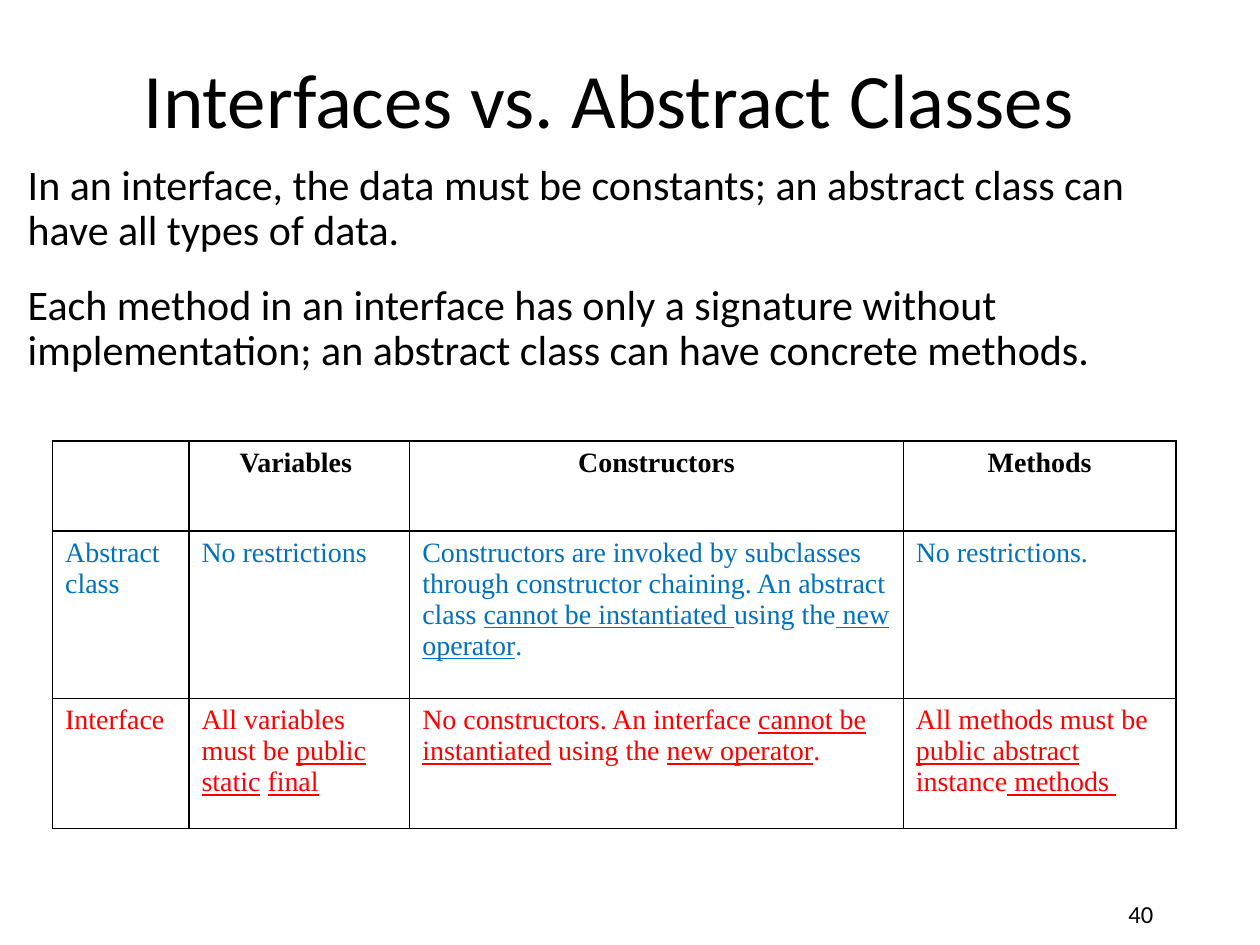
"""Build the slide that compares interfaces with abstract classes."""
from dataclasses import dataclass

from lxml import etree
from pptx import Presentation
from pptx.dml.color import RGBColor
from pptx.enum.text import MSO_ANCHOR, PP_ALIGN
from pptx.oxml.ns import qn
from pptx.util import Cm, Pt

LEFT, CENTER, RIGHT = PP_ALIGN.LEFT, PP_ALIGN.CENTER, PP_ALIGN.RIGHT
TOP, MIDDLE = MSO_ANCHOR.TOP, MSO_ANCHOR.MIDDLE


@dataclass(frozen=True)
class Theme:
    """Hold the fonts, colours and sizes of the slide."""

    text_font: str = "Calibri"
    table_font: str = "Times New Roman"
    black: str = "000000"
    blue: str = "0070C0"
    red: str = "FF0000"
    title: int = 44
    body: int = 24
    cell: int = 16
    number: int = 14
    border: int = 1


THEME = Theme()

TITLE = "Interfaces vs. Abstract Classes"
STATEMENTS = [
    "In an interface, the data must be constants; an abstract class can have all types of data.",
    "Each method in an interface has only a signature without implementation; "
    "an abstract class can have concrete methods.",
]
COLUMN_WIDTHS = [2.75, 4.45, 9.95, 5.5]
ROW_HEIGHTS = [1.81, 3.38, 2.62]
ROW_COLORS = [THEME.black, THEME.blue, THEME.red]
ROWS = [
    ["", "Variables ", "Constructors", "Methods"],
    [
        "Abstract class",
        "No restrictions",
        "Constructors are invoked by subclasses through constructor chaining. "
        "An abstract class _cannot be instantiated _using the_ new operator_.",
        "No restrictions.",
    ],
    [
        "Interface",
        "All variables must be _public_ _static_ _final_",
        "No constructors. An interface _cannot be instantiated_ using the _new operator_.",
        "All methods must be _public abstract _instance_ methods _",
    ],
]


def apply_format(target, values):
    """Set every attribute named in a dict of format values."""
    for name, value in values.items():
        setattr(target, name, value)


def write_paragraph(paragraph, text, font, color, layout):
    """Write text, underlining the parts between underscores."""
    apply_format(paragraph, layout)
    for index, part in enumerate(text.split("_")):
        if part:
            run = paragraph.add_run()
            run.text = part
            apply_format(run.font, font)
            run.font.color.rgb = RGBColor.from_string(color)
            if index % 2:
                run.font.underline = True


def add_text(slide, box, texts, size, frame_format, layout, space_before=0):
    """Add a text box with one paragraph for each text."""
    frame = slide.shapes.add_textbox(*map(Cm, box)).text_frame
    apply_format(frame, frame_format)
    font = {"name": THEME.text_font, "size": Pt(size)}
    for index, text in enumerate(texts):
        paragraph = frame.add_paragraph() if index else frame.paragraphs[0]
        write_paragraph(paragraph, text, font, THEME.black, layout)
        paragraph.space_before = Pt(space_before if index else 0)


def add_borders(cell):
    """Draw a thin black line on each side of a cell."""
    properties = cell._tc.get_or_add_tcPr()
    for side in ("a:lnL", "a:lnR", "a:lnT", "a:lnB"):
        line = etree.SubElement(properties, qn(side), w=str(Pt(THEME.border)))
        fill = etree.SubElement(line, qn("a:solidFill"))
        etree.SubElement(fill, qn("a:srgbClr"), val=THEME.black)


def add_comparison_table(slide, left, top):
    """Add the table with its header and two compared rows."""
    size = Cm(sum(COLUMN_WIDTHS)), Cm(sum(ROW_HEIGHTS))
    table = slide.shapes.add_table(
        len(ROWS), len(COLUMN_WIDTHS), Cm(left), Cm(top), *size
    ).table
    apply_format(table, {"first_row": False, "horz_banding": False})
    for column, width in zip(table.columns, COLUMN_WIDTHS):
        column.width = Cm(width)
    for index, (row, texts) in enumerate(zip(table.rows, ROWS)):
        row.height = Cm(ROW_HEIGHTS[index])
        header = index == 0
        font = {"name": THEME.table_font, "size": Pt(THEME.cell), "bold": header}
        layout = {"alignment": CENTER if header else LEFT}
        for cell, text in zip(row.cells, texts):
            add_borders(cell)
            cell.fill.background()
            paragraph = cell.text_frame.paragraphs[0]
            write_paragraph(paragraph, text, font, ROW_COLORS[index], layout)


def main():
    """Build and save the slide."""
    presentation = Presentation()
    apply_format(presentation, {"slide_width": Cm(25.4), "slide_height": Cm(19.05)})
    slide = presentation.slides.add_slide(presentation.slide_layouts[6])
    add_text(
        slide, (1.48, 0, 21.6, 3.96), [TITLE], THEME.title,
        {"word_wrap": True, "vertical_anchor": MIDDLE}, {"alignment": CENTER},
    )
    add_text(
        slide, (0, 3.18, 24.13, 5.28), STATEMENTS, THEME.body,
        {"word_wrap": True, "vertical_anchor": TOP, "margin_left": Cm(0.56)},
        {"alignment": LEFT, "line_spacing": 0.9, "space_after": Pt(12)},
        space_before=4.8,
    )
    add_comparison_table(slide, 1.06, 8.89)
    add_text(
        slide, (18.2, 17.78, 5.3, 1.27), ["40"], THEME.number,
        {"word_wrap": True, "vertical_anchor": MIDDLE}, {"alignment": RIGHT},
    )
    presentation.save("out.pptx")


if __name__ == "__main__":
    main()
